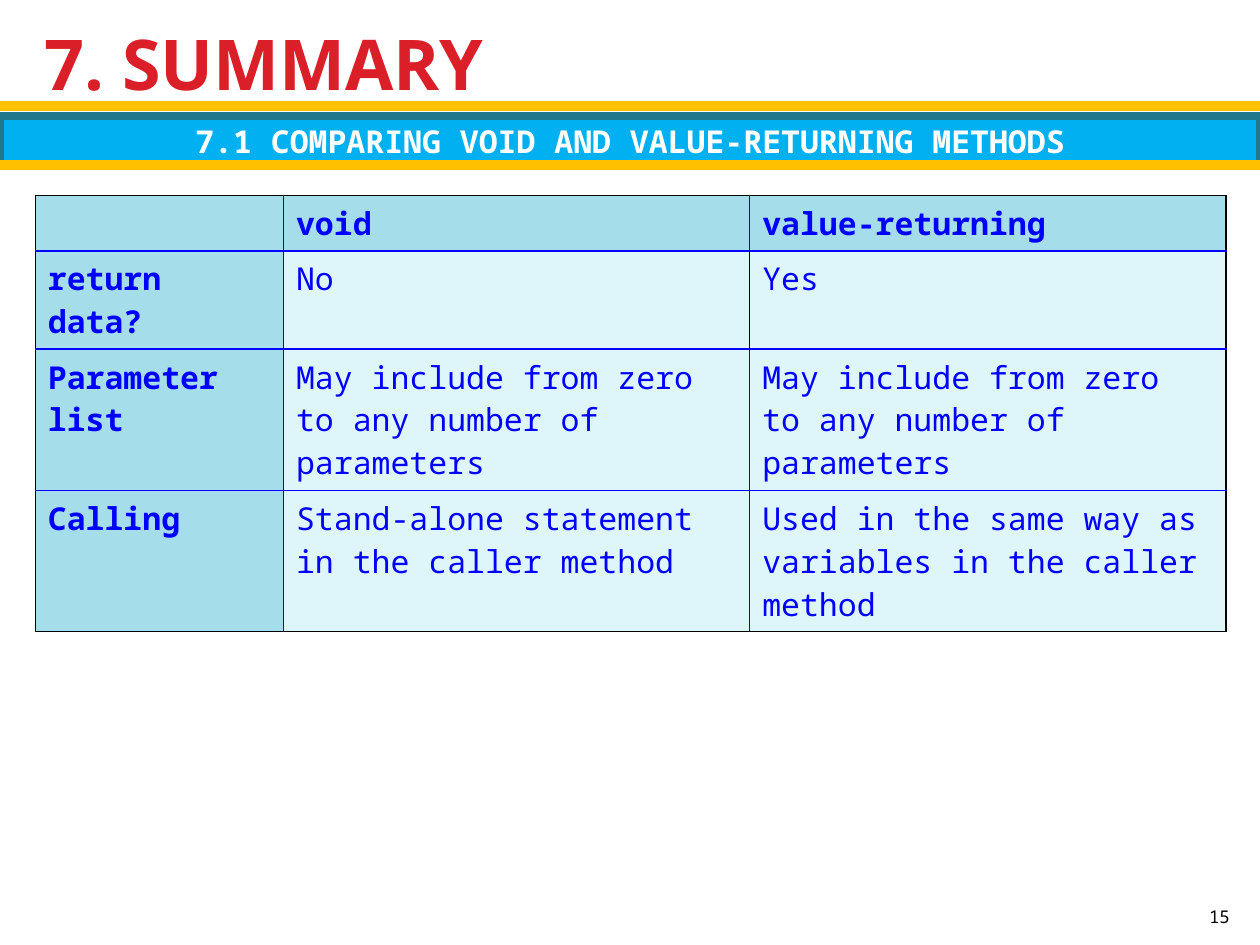
from lxml import etree
from pptx import Presentation, util as u
from pptx.dml.color import RGBColor
from pptx.enum import shapes, text
from pptx.oxml import ns

RED = RGBColor(0xDA, 0x1F, 0x28)
GOLD = RGBColor(0xFF, 0xC0, 0x00)
SKY = RGBColor(0x00, 0xB0, 0xF0)
TEAL = RGBColor(0x21, 0x78, 0x8D)
BLUE = RGBColor(0x00, 0x00, 0xFF)
HEADING_FILL = RGBColor(0xA6, 0xDD, 0xEA)
BODY_FILL = RGBColor(0xDE, 0xF5, 0xFA)
WHITE = RGBColor(0xFF, 0xFF, 0xFF)
BLACK = RGBColor(0x00, 0x00, 0x00)
SANS, MONO = "Noto Sans", "Noto Sans Mono"
WIDTH, HEIGHT = 10, 7.5

COLUMN_WIDTHS = (1.97, 3.7, 3.78)
ROW_HEIGHT = 0.41
PARAMETERS = "May include from zero to any number of parameters"
COMPARISON = (
    ("", "void", "value-returning"),
    ("return data?", "No", "Yes"),
    ("Parameter list", PARAMETERS, PARAMETERS),
    ("Calling", "Stand-alone statement in the caller method",
     "Used in the same way as variables in the caller method"),
)


def inches(*lengths):
    """Convert lengths in inches to slide units."""
    return [u.Inches(length) for length in lengths]


def write(frame, wording, color, alignment=text.PP_ALIGN.LEFT, **font_format):
    """Write one formatted paragraph into a text frame."""
    paragraph = frame.paragraphs[0]
    paragraph.alignment = alignment
    run = paragraph.add_run()
    run.text = wording
    for name, value in font_format.items():
        setattr(run.font, name, value)
    run.font.color.rgb = color


def add_title(slide, box):
    """Place the slide title in its placeholder."""
    title = slide.shapes.title
    for name, value in zip(("left", "top", "width", "height"), inches(*box)):
        setattr(title, name, value)
    frame = title.text_frame
    frame.auto_size = text.MSO_AUTO_SIZE.NONE
    frame.vertical_anchor = text.MSO_ANCHOR.MIDDLE
    write(frame, "7. SUMMARY", RED, name=SANS, size=u.Pt(40), bold=True)


def add_rule(slide, left, top, width):
    """Draw a horizontal gold rule."""
    rule = slide.shapes.add_connector(
        shapes.MSO_CONNECTOR.STRAIGHT, *inches(left, top, left + width, top))
    rule.line.color.rgb = GOLD
    rule.line.width = u.Pt(6)
    etree.SubElement(rule._element.spPr, ns.qn("a:effectLst"))


def add_banner(slide, box):
    """Place the section banner between its two gold rules."""
    left, top, width, height = box
    add_rule(slide, left, top - 0.08, width)
    banner = slide.shapes.add_shape(shapes.MSO_SHAPE.RECTANGLE, *inches(*box))
    banner.shadow.inherit = False
    banner.fill.solid()
    banner.fill.fore_color.rgb = SKY
    banner.line.color.rgb = TEAL
    banner.line.width = u.Pt(4.33)
    banner.text_frame.vertical_anchor = text.MSO_ANCHOR.MIDDLE
    write(banner.text_frame, "7.1 COMPARING VOID AND VALUE-RETURNING METHODS",
          WHITE, text.PP_ALIGN.CENTER, name=MONO, size=u.Pt(18), bold=True)
    add_rule(slide, left, top + height, width)


def add_borders(cell, colors):
    """Draw one-point borders on a cell, in left, right, top, bottom order."""
    properties = cell._tc.get_or_add_tcPr()
    for side, color in zip("LRTB", colors):
        border = etree.SubElement(properties, ns.qn(f"a:ln{side}"), w=str(u.Pt(1)))
        fill = etree.SubElement(border, ns.qn("a:solidFill"))
        etree.SubElement(fill, ns.qn("a:srgbClr"), val=str(color))


def border_colors(row, column):
    """Return black for outer edges and the No/Yes divider, blue elsewhere."""
    last_row, last_column = len(COMPARISON) - 1, len(COLUMN_WIDTHS) - 1
    black_edges = (
        column == 0 or (row, column) == (1, 2),
        column == last_column or (row, column) == (1, 1),
        row == 0,
        row == last_row,
    )
    return [BLACK if is_black else BLUE for is_black in black_edges]


def add_comparison(slide, left, top):
    """Place the table comparing the two kinds of method."""
    rows, columns = len(COMPARISON), len(COLUMN_WIDTHS)
    table = slide.shapes.add_table(
        rows, columns,
        *inches(left, top, sum(COLUMN_WIDTHS), rows * ROW_HEIGHT)).table
    for column, width in zip(table.columns, COLUMN_WIDTHS):
        column.width = u.Inches(width)
    for row, wordings in enumerate(COMPARISON):
        for column, wording in enumerate(wordings):
            cell = table.cell(row, column)
            is_heading = row == 0 or column == 0
            add_borders(cell, border_colors(row, column))
            cell.fill.solid()
            cell.fill.fore_color.rgb = HEADING_FILL if is_heading else BODY_FILL
            if wording:
                write(cell.text_frame, wording, BLUE,
                      name=MONO, size=u.Pt(18), bold=is_heading)


def add_page_number(slide, box):
    """Place the page number in the bottom corner."""
    frame = slide.shapes.add_textbox(*inches(*box)).text_frame
    frame.word_wrap = True
    frame.vertical_anchor = text.MSO_ANCHOR.BOTTOM
    write(frame, "15", BLACK, text.PP_ALIGN.RIGHT, name=MONO, size=u.Pt(10))


def main():
    """Build the summary slide and save it."""
    presentation = Presentation()
    presentation.slide_width, presentation.slide_height = inches(WIDTH, HEIGHT)
    slide = presentation.slides.add_slide(presentation.slide_layouts[5])
    add_title(slide, (0.25, 0.17, 9.47, 0.65))
    add_banner(slide, (0, 0.92, WIDTH, 0.39))
    add_comparison(slide, 0.28, 1.55)
    add_page_number(slide, (9.46, 7.01, 0.4, 0.4))
    presentation.save("out.pptx")


if __name__ == "__main__":
    main()
